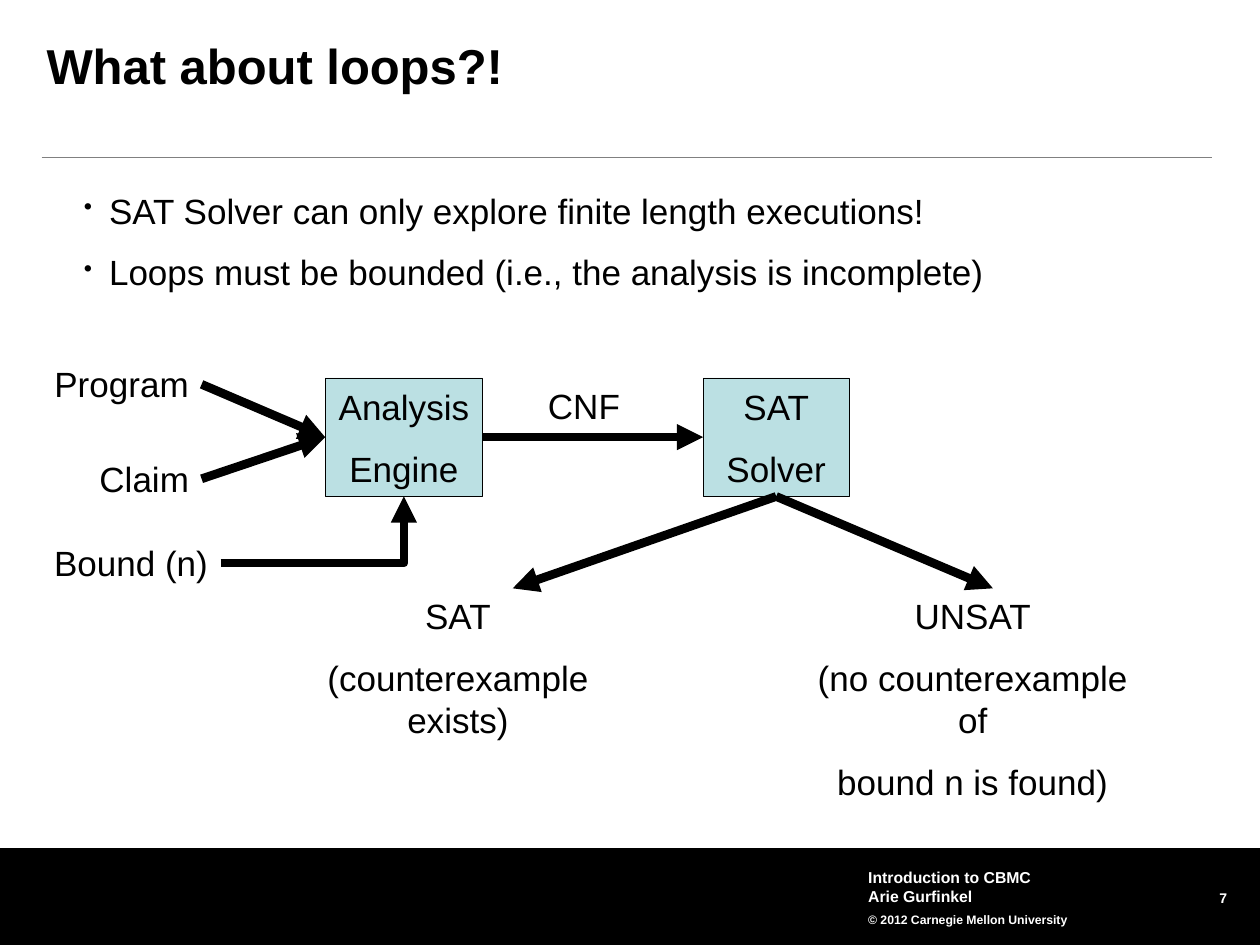
import dataclasses

import pptx
import pptx.dml.color
import pptx.enum.shapes
import pptx.enum.text
import pptx.oxml
import pptx.oxml.ns
import pptx.util

Pt = pptx.util.Pt
RGB = pptx.dml.color.RGBColor
ALIGN = pptx.enum.text.PP_ALIGN
ANCHOR = pptx.enum.text.MSO_ANCHOR
CONNECTOR = pptx.enum.shapes.MSO_CONNECTOR
RECTANGLE = pptx.enum.shapes.MSO_SHAPE.RECTANGLE


@dataclasses.dataclass(frozen=True)
class Theme:
    """Colours, font and type sizes of the slide."""
    ink: RGB = RGB(0, 0, 0)
    paper: RGB = RGB(255, 255, 255)
    stage: RGB = RGB(0xBB, 0xE0, 0xE3)
    rule: RGB = RGB(0x80, 0x80, 0x80)
    font: str = "Arial"
    title: float = 28
    body: float = 20
    footer: float = 9
    small: float = 7
    number: float = 8
    gap: float = 11.3
    arrow: float = 5
    hairline: float = 0.5


THEME = Theme()


def apply_format(target, values):
    """Set each attribute of target from a dict of values."""
    for attribute, value in values.items():
        setattr(target, attribute, value)


def add_child(parent, tag, **attributes):
    """Append a DrawingML element with the given attributes."""
    child = pptx.oxml.parse_xml(f"<a:{tag} {pptx.oxml.ns.nsdecls('a')}/>")
    for attribute, value in attributes.items():
        child.set(attribute, value)
    parent.append(child)


def write_lines(frame, lines, size=THEME.body, color=THEME.ink, bold=False,
                align=ALIGN.LEFT, gap=0, bullet=False, insets=(7.2, 3.6, 7.2, 3.6),
                anchor=ANCHOR.TOP, wrap=True):
    """Fill a text frame with one paragraph per line."""
    sides = ("margin_left", "margin_top", "margin_right", "margin_bottom")
    apply_format(frame, {side: Pt(inset) for side, inset in zip(sides, insets)})
    apply_format(frame, {"word_wrap": wrap, "vertical_anchor": anchor})
    for index, line in enumerate(lines):
        paragraph = frame.add_paragraph() if index else frame.paragraphs[0]
        run = paragraph.add_run()
        run.text = line
        paragraph.alignment = align
        if index:
            paragraph.space_before = Pt(gap)
        if bullet:
            properties = paragraph._p.get_or_add_pPr()
            properties.set("marL", str(Pt(34.2)))
            properties.set("indent", str(Pt(-14.4)))
            add_child(properties, "buSzPct", val="70000")
            add_child(properties, "buChar", char="•")
        apply_format(run.font, {"name": THEME.font, "size": Pt(size), "bold": bold})
        run.font.color.rgb = color


def add_text(slide, box, lines, **style):
    """Add a text box and return its text frame."""
    frame = slide.shapes.add_textbox(*map(Pt, box)).text_frame
    write_lines(frame, lines, **style)
    return frame


def add_block(slide, box, fill, outline=None):
    """Add a filled rectangle with an optional thin outline."""
    block = slide.shapes.add_shape(RECTANGLE, *map(Pt, box))
    block.shadow.inherit = False
    block.fill.solid()
    block.fill.fore_color.rgb = fill
    if outline is None:
        block.line.fill.background()
    else:
        block.line.color.rgb = outline
        block.line.width = Pt(THEME.hairline)
    return block


def add_line(slide, start, end, color=THEME.ink, width=THEME.arrow, arrow=True, bent=False):
    """Add a straight or one-corner connector."""
    kind = CONNECTOR.ELBOW if bent else CONNECTOR.STRAIGHT
    line = slide.shapes.add_connector(kind, *map(Pt, (*start, *end)))
    line.line.color.rgb = color
    line.line.width = Pt(width)
    properties = line._element.spPr
    if bent:
        properties.find(pptx.oxml.ns.qn("a:prstGeom")).set("prst", "bentConnector2")
    if arrow:
        add_child(line.line._get_or_add_ln(), "tailEnd", type="triangle")
    add_child(properties, "effectLst")


def add_frame(slide):
    """Draw the title, its rule and the footer band."""
    add_block(slide, (0, 484.6, 720, 55.4), THEME.ink)
    add_text(slide, (642.2, 504.7, 66.2, 29.5), ["7"], size=THEME.number,
             color=THEME.paper, bold=True, align=ALIGN.RIGHT,
             insets=(0, 0, 7.2, 3.6)).paragraphs[0].line_spacing = Pt(13)
    add_line(slide, (23.8, 90), (692.6, 90), THEME.rule, THEME.hairline, arrow=False)
    credits = add_text(
        slide, (492.5, 491.8, 185.8, 41.8),
        ["Introduction to CBMC", "Arie Gurfinkel", "© 2012 Carnegie Mellon University"],
        size=THEME.footer, color=THEME.paper, bold=True, insets=(3.6,) * 4,
        anchor=ANCHOR.MIDDLE)
    copyright_line = credits.paragraphs[-1]
    copyright_line.line_spacing = 1.5
    copyright_line.runs[0].font.size = Pt(THEME.small)
    add_text(slide, (26.6, 23.8, 632.2, 43.9), ["What about loops?!"], size=THEME.title,
             bold=True, insets=(0,) * 4).paragraphs[0].line_spacing = 0.9


def add_pipeline(slide):
    """Draw the stages, their labels and the arrows between them."""
    centred = {"align": ALIGN.CENTER, "gap": THEME.gap}
    labels = {
        "Program": (23.8, 203.8, 91.4, 31),
        "Claim": (49.7, 257.8, 65.5, 31),
        "Bound (n)": (23.8, 306, 102.2, 31),
        "CNF": (306, 216, 55.4, 31),
    }
    for label, box in labels.items():
        add_text(slide, box, [label], wrap=False, **centred)

    top, height = 216, 67.7
    middle, bottom = 249.8, top + height
    engine_left, engine_width = 185.8, 90
    solver_left, solver_width = 401.8, 83.5
    stages = [
        (engine_left, engine_width, ["Analysis", "Engine"]),
        (solver_left, solver_width, ["SAT", "Solver"]),
    ]
    for left, width, words in stages:
        stage = add_block(slide, (left, top, width, height), THEME.stage, THEME.ink)
        write_lines(stage.text_frame, words, anchor=ANCHOR.MIDDLE, wrap=False, **centred)

    outcomes = [
        ((180, 336.2, 163.4, 97), ["SAT", "(counterexample exists)"]),
        ((460.8, 336.2, 190, 127), ["UNSAT", "(no counterexample of", "bound n is found)"]),
    ]
    for box, lines in outcomes:
        add_text(slide, box, lines, insets=(3.6,) * 4, **centred)

    engine_entry = (engine_left, middle)
    solver_exit = (solver_left + solver_width / 2, bottom)
    arrows = [
        ((115.2, 219.6), engine_entry),
        ((115.2, 273.6), engine_entry),
        ((engine_left + engine_width, middle), (solver_left, middle)),
        (solver_exit, (293, 336.2)),
        (solver_exit, (567.4, 336.2)),
    ]
    for start, end in arrows:
        add_line(slide, start, end)
    add_line(slide, (126, 321.8), (engine_left + engine_width / 2, bottom), bent=True)


def main():
    """Build the slide and save it."""
    deck = pptx.Presentation()
    apply_format(deck, {"slide_width": Pt(720), "slide_height": Pt(540)})
    slide = deck.slides.add_slide(deck.slide_layouts[6])
    add_frame(slide)
    add_text(slide, (28.1, 108, 630, 77.8),
             ["SAT Solver can only explore finite length executions!",
              "Loops must be bounded (i.e., the analysis is incomplete)"],
             gap=THEME.gap, bullet=True, insets=(0,) * 4)
    add_pipeline(slide)
    deck.save("out.pptx")


if __name__ == "__main__":
    main()
